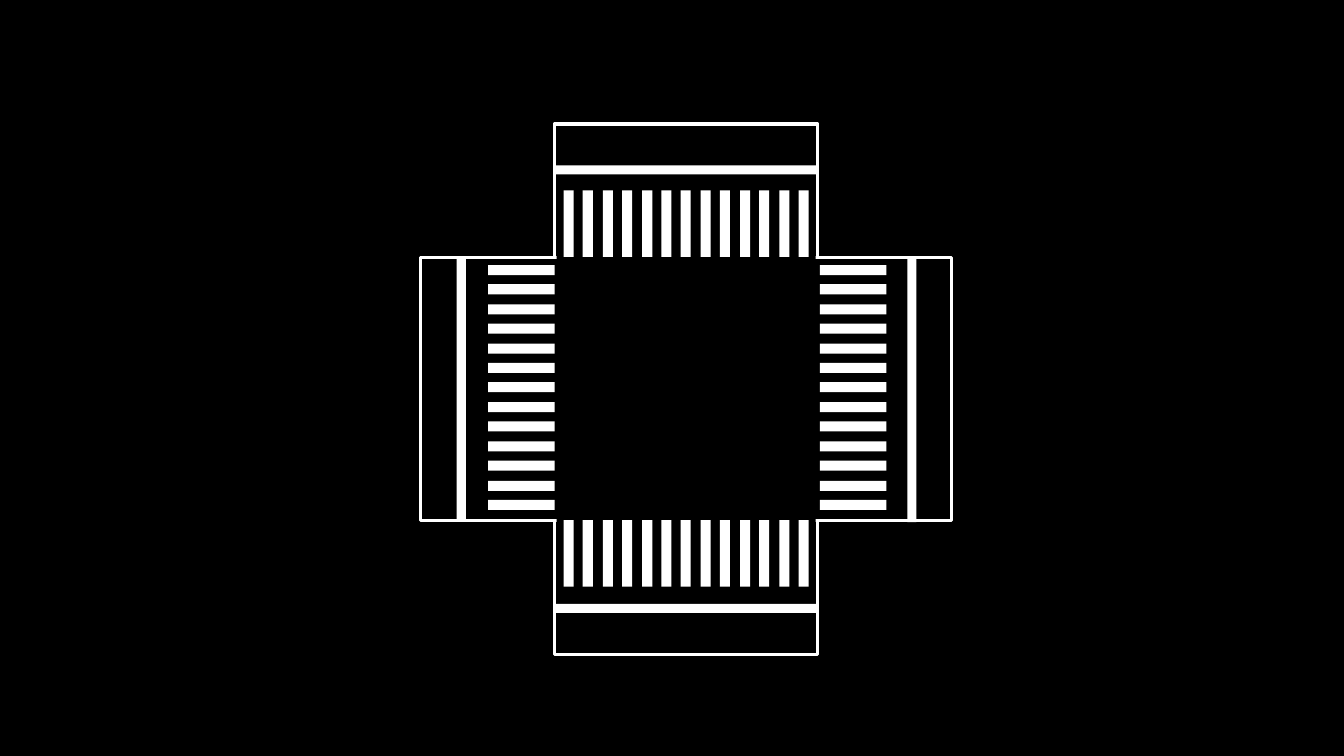
from dataclasses import dataclass

from pptx import Presentation
from pptx import util as u
from pptx.dml.color import RGBColor
from pptx.enum import shapes

PX = u.Inches(0.01)
SLIDE_SIZE = (1333, 750)

ROAD = (550, 123, 261, 526)
ROAD_ROTATIONS = (0, 270)
JUNCTION = (552, 226, 257, 336)

STRIPE_SIZE = (10, 66)
STRIPE_COUNT = 13
STRIPE_SPAN = 233
CROSSINGS = [
    {"start": (559, 189), "direction": (1, 0), "rotation": 0},
    {"start": (559, 516), "direction": (1, 0), "rotation": 0},
    {"start": (841, 235), "direction": (0, 1), "rotation": 90},
    {"start": (512, 235), "direction": (0, 1), "rotation": 90},
]

STOP_LINE_SIZE = (9, 261)
STOP_LINES = [
    ((453, 256), 0),
    ((900, 257), 0),
    ((676, 38), 90),
    ((676, 473), 90),
]


@dataclass(frozen=True)
class Theme:
    asphalt: RGBColor = RGBColor(0, 0, 0)
    paint: RGBColor = RGBColor(255, 255, 255)
    kerb_width: int = u.Pt(2.25)


THEME = Theme()


def add_block(slide, box, color, rotation=0, outlined=False):
    shape = slide.shapes.add_shape(
        shapes.MSO_SHAPE.RECTANGLE, *(length * PX for length in box)
    )
    shape.shadow.inherit = False
    shape.rotation = rotation
    shape.fill.solid()
    shape.fill.fore_color.rgb = color
    if outlined:
        shape.line.color.rgb = THEME.paint
        shape.line.width = THEME.kerb_width
    else:
        shape.line.fill.background()


def add_crossing(slide, start, direction, rotation):
    for index in range(STRIPE_COUNT):
        offset = round(index * STRIPE_SPAN / (STRIPE_COUNT - 1))
        corner = [origin + offset * step for origin, step in zip(start, direction)]
        add_block(slide, (*corner, *STRIPE_SIZE), THEME.paint, rotation)


def main():
    presentation = Presentation()
    presentation.slide_width, presentation.slide_height = (
        length * PX for length in SLIDE_SIZE
    )
    slide = presentation.slides.add_slide(presentation.slide_layouts[6])
    slide.background.fill.solid()
    slide.background.fill.fore_color.rgb = THEME.asphalt

    for rotation in ROAD_ROTATIONS:
        add_block(slide, ROAD, THEME.asphalt, rotation, outlined=True)
    add_block(slide, JUNCTION, THEME.asphalt)
    for crossing in CROSSINGS:
        add_crossing(slide, **crossing)
    for corner, rotation in STOP_LINES:
        add_block(slide, (*corner, *STOP_LINE_SIZE), THEME.paint, rotation)

    presentation.save("out.pptx")


if __name__ == "__main__":
    main()
